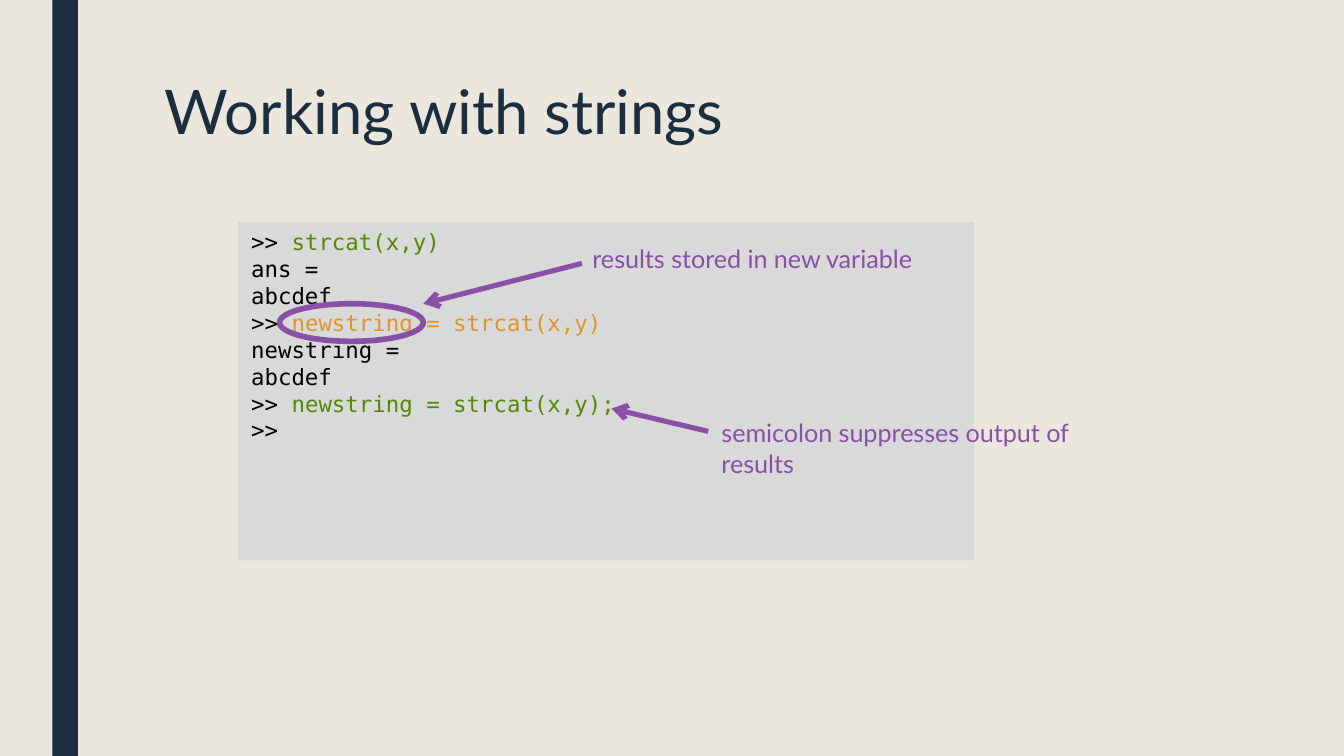
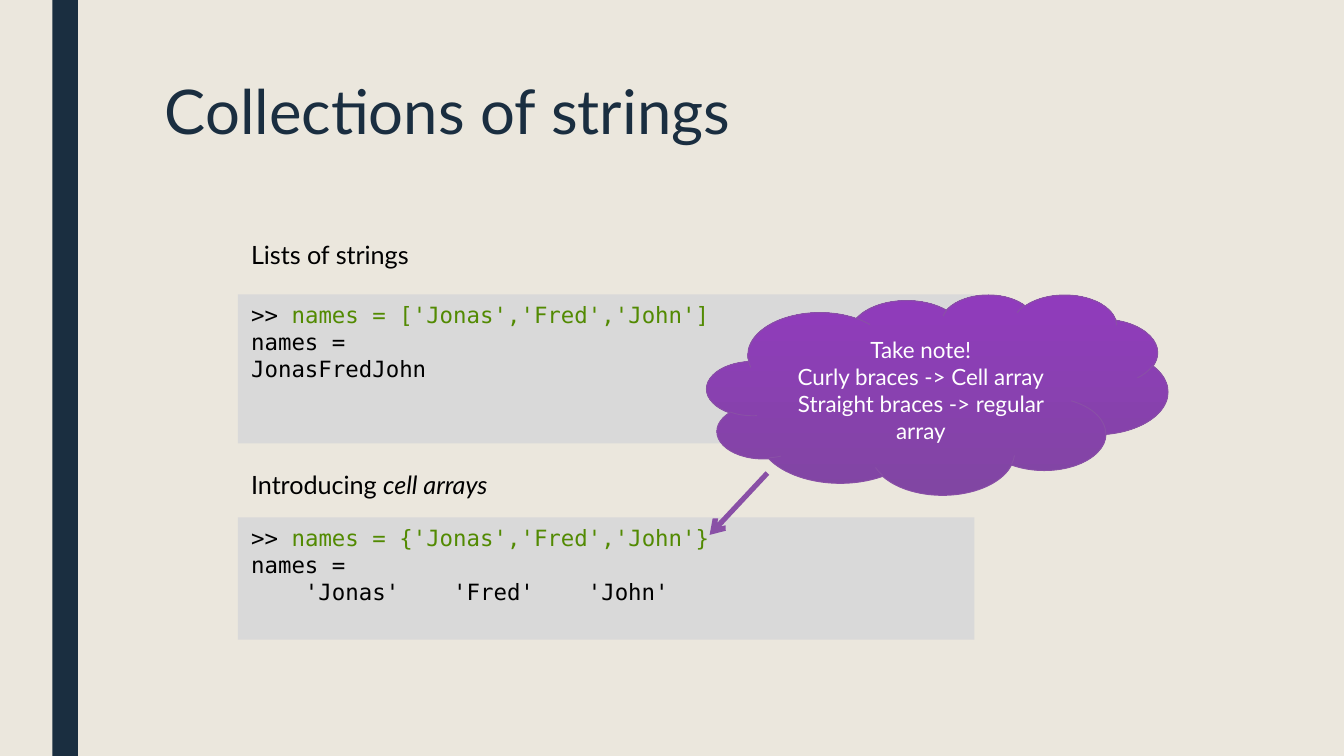
from dataclasses import dataclass

from pptx import Presentation
from pptx import util as u
from pptx.dml.color import RGBColor
from pptx.enum import shapes, text
from pptx.oxml import ns
from lxml import etree


@dataclass(frozen=True)
class Theme:
    paper: str = "EBE7DD"
    navy: str = "1A2E40"
    panel: str = "D9D9D9"
    black: str = "000000"
    white: str = "FFFFFF"
    green: str = "528A02"
    gold: str = "DC9528"
    plum: str = "8950A6"
    cloud: tuple = ("8146A3", "903BBC")
    sans: str = "Lato"
    mono: str = "DejaVu Sans Mono"
    head: float = 33
    body: float = 13.5
    code: float = 12
    ring: float = 3
    wire: float = 2.75
    edge: float = 0.5


@dataclass(frozen=True)
class Box:
    x: float
    y: float
    w: float
    h: float

    def sub(self, x, y, w, h):
        return Box(self.x + x, self.y + y, w, h)

    def emu(self):
        return [unit(n) for n in (self.x, self.y, self.w, self.h)]


COLS, ROWS = 100, 56.25
WIDE = u.Inches(10)
T = Theme()
FULL = Box(0, 0, COLS, ROWS)
BODY = Box(17.7, 16.5, 54.8, 31.1)
KIND = shapes.MSO_SHAPE
LEFT, MID = text.PP_ALIGN.LEFT, text.PP_ALIGN.CENTER
TOP, CORE = text.MSO_ANCHOR.TOP, text.MSO_ANCHOR.MIDDLE
PROMPT = (">> ", T.black)


def unit(n):
    return round(n * WIDE / COLS)


def rgb(code):
    return RGBColor.from_string(code)


def put(item, vals):
    for name, val in vals.items():
        setattr(item, name, val)


def write(shape, lines, font, size, align=LEFT, anchor=TOP, space=None):
    frame = shape.text_frame
    put(frame, dict(word_wrap=True, auto_size=text.MSO_AUTO_SIZE.NONE,
                    vertical_anchor=anchor))
    for i, line in enumerate(lines):
        para = frame.add_paragraph() if i else frame.paragraphs[0]
        put(para, dict(alignment=align, line_spacing=space))
        for words, tint, *slant in line:
            run = para.add_run()
            run.text = words
            put(run.font, dict(name=font, size=u.Pt(size),
                               italic=True if slant else None))
            run.font.color.rgb = rgb(tint)


def stroke(line, tint, width):
    line.color.rgb = rgb(tint)
    line.width = u.Pt(width)


def draw(pool, kind, box, fill=None):
    shape = pool.add_shape(kind, *box.emu())
    shape.shadow.inherit = False
    shape.line.fill.background()
    if fill:
        shape.fill.solid()
        shape.fill.fore_color.rgb = rgb(fill)
    else:
        shape.fill.background()
    return shape


def arrow(pool, box, start, end):
    ends = [unit(n) for x, y in (start, end) for n in (box.x + x, box.y + y)]
    wire = pool.add_connector(shapes.MSO_CONNECTOR.STRAIGHT, *ends)
    stroke(wire.line, T.plum, T.wire)
    props = wire.element.spPr
    tip = etree.SubElement(props.get_or_add_ln(), ns.qn("a:tailEnd"))
    tip.set("type", "arrow")
    etree.SubElement(props, ns.qn("a:effectLst"))


def label(pool, box, *runs):
    write(pool.add_textbox(*box.emu()), [runs], T.sans, T.body)


def panel(slide, box, lines):
    shape = draw(slide.shapes, KIND.RECTANGLE, box, T.panel)
    rows = [[(line, T.black)] if isinstance(line, str) else [PROMPT, line]
            for line in lines]
    write(shape, rows, T.mono, T.code)


def note(slide, box, words, start, end):
    pool = slide.shapes.add_group_shape().shapes
    arrow(pool, box, start, end)
    label(pool, box, (words, T.plum))


def bubble(slide, box, lines):
    pool = slide.shapes.add_group_shape().shapes
    arrow(pool, box, (4.5, 13.3), (0.2, 17.9))
    cloud = draw(pool, KIND.CLOUD, box)
    cloud.fill.gradient()
    cloud.fill.gradient_angle = 90
    for stop, tint in zip(cloud.fill.gradient_stops, T.cloud):
        stop.color.rgb = rgb(tint)
    stroke(cloud.line, T.plum, T.edge)
    write(cloud, [[(line, T.white)] for line in lines], T.sans, T.code, MID, CORE)


def titled(deck, words):
    slide = deck.slides.add_slide(deck.slide_layouts[5])
    title = slide.shapes.title
    spot = FULL.sub(11.25, 5.6, 78.75, 12.2).emu()
    put(title, dict(zip(("left", "top", "width", "height"), spot)))
    write(title, [[(words, T.navy)]], T.sans, T.head, space=0.89)
    return slide


def brand(deck, slide):
    master = deck.slide_master
    master.background.fill.solid()
    master.background.fill.fore_color.rgb = rgb(T.paper)
    band = draw(slide.shapes, KIND.RECTANGLE, FULL.sub(3.9, 0, 1.9, ROWS), T.navy)
    master.shapes.element.insert(2, band.element)


def working(deck):
    slide = titled(deck, "Working with strings")
    panel(slide, BODY.sub(0, 0, BODY.w, 25.2), [
        ("strcat(x,y)", T.green), "ans =", "abcdef",
        ("newstring = strcat(x,y)", T.gold), "newstring =", "abcdef",
        ("newstring = strcat(x,y);", T.green), ">>"])
    ring = draw(slide.shapes, KIND.OVAL, BODY.sub(3.1, 6.1, 10.7, 2.8))
    stroke(ring.line, T.plum, T.ring)
    note(slide, BODY.sub(25.4, 1.1, 29.4, 3.3), "results stored in new variable",
         (0.2, 2), (-11.6, 5))
    note(slide, BODY.sub(35, 14.1, 29.4, 5.6),
         "semicolon suppresses output of results", (0, 1.5), (-7.2, -0.2))
    return slide


def lists(deck):
    slide = titled(deck, "Collections of strings")
    panel(slide, BODY.sub(0, 5.4, BODY.w, 11.1), [
        ("names = ['Jonas','Fred','John']", T.green), "names =", "JonasFredJohn"])
    label(slide.shapes, BODY.sub(0, 0.8, 26.5, 3.3), ("Lists of strings", T.black))
    label(slide.shapes, BODY.sub(0, 17.9, 24.1, 3.3),
          ("Introducing ", T.black), ("cell arrays", T.black, True))
    panel(slide, BODY.sub(0, 22, BODY.w, 9.1), [
        ("names = {'Jonas','Fred','John'}", T.green), "names =",
        "    'Jonas'    'Fred'    'John'"])
    bubble(slide, BODY.sub(34.9, 5.4, 34.3, 14.9), [
        "Take note!", "Curly braces -> Cell array",
        "Straight braces -> regular array"])


def main():
    deck = Presentation()
    put(deck, dict(slide_width=WIDE, slide_height=unit(ROWS)))
    brand(deck, working(deck))
    lists(deck)
    deck.save("out.pptx")


if __name__ == "__main__":
    main()
